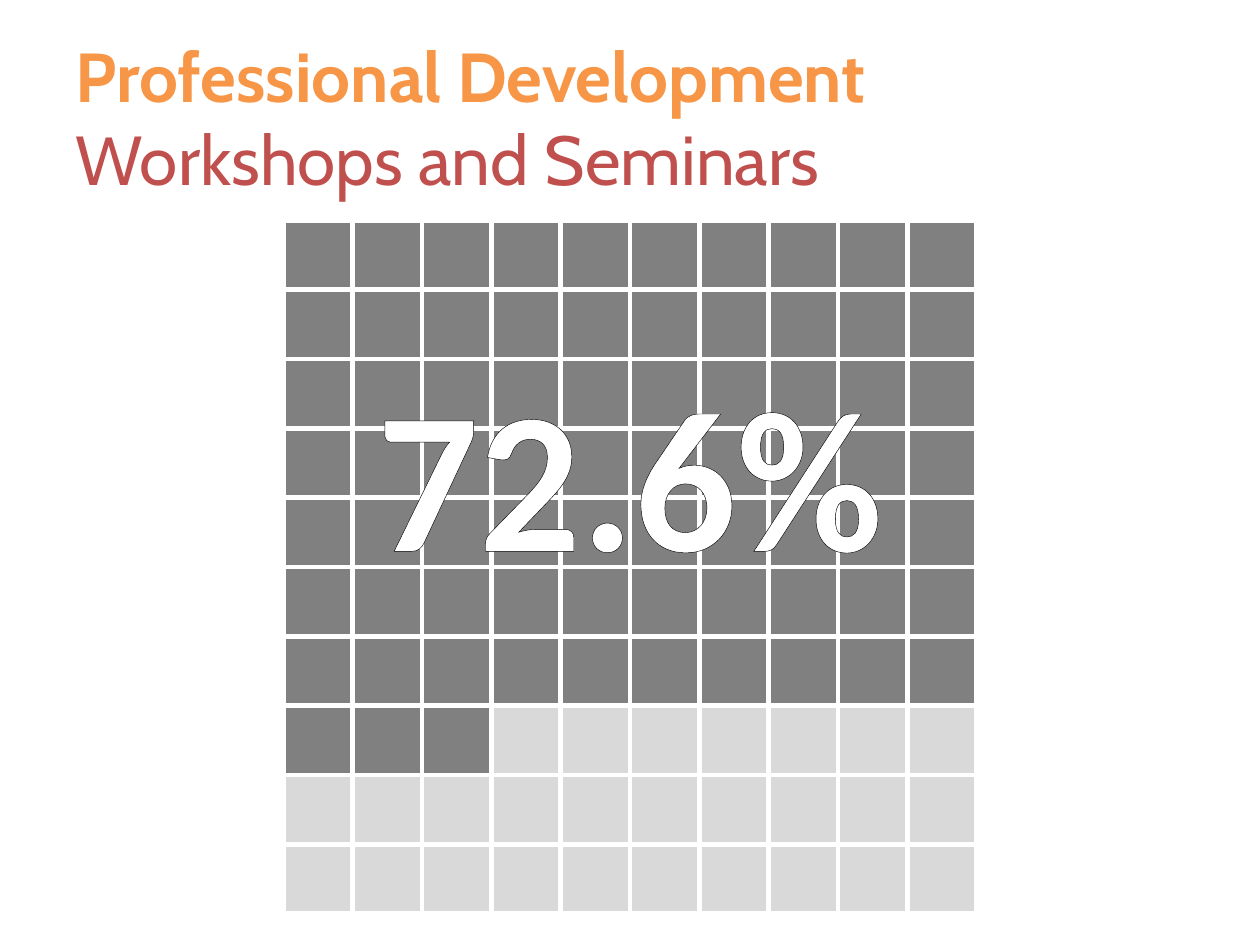
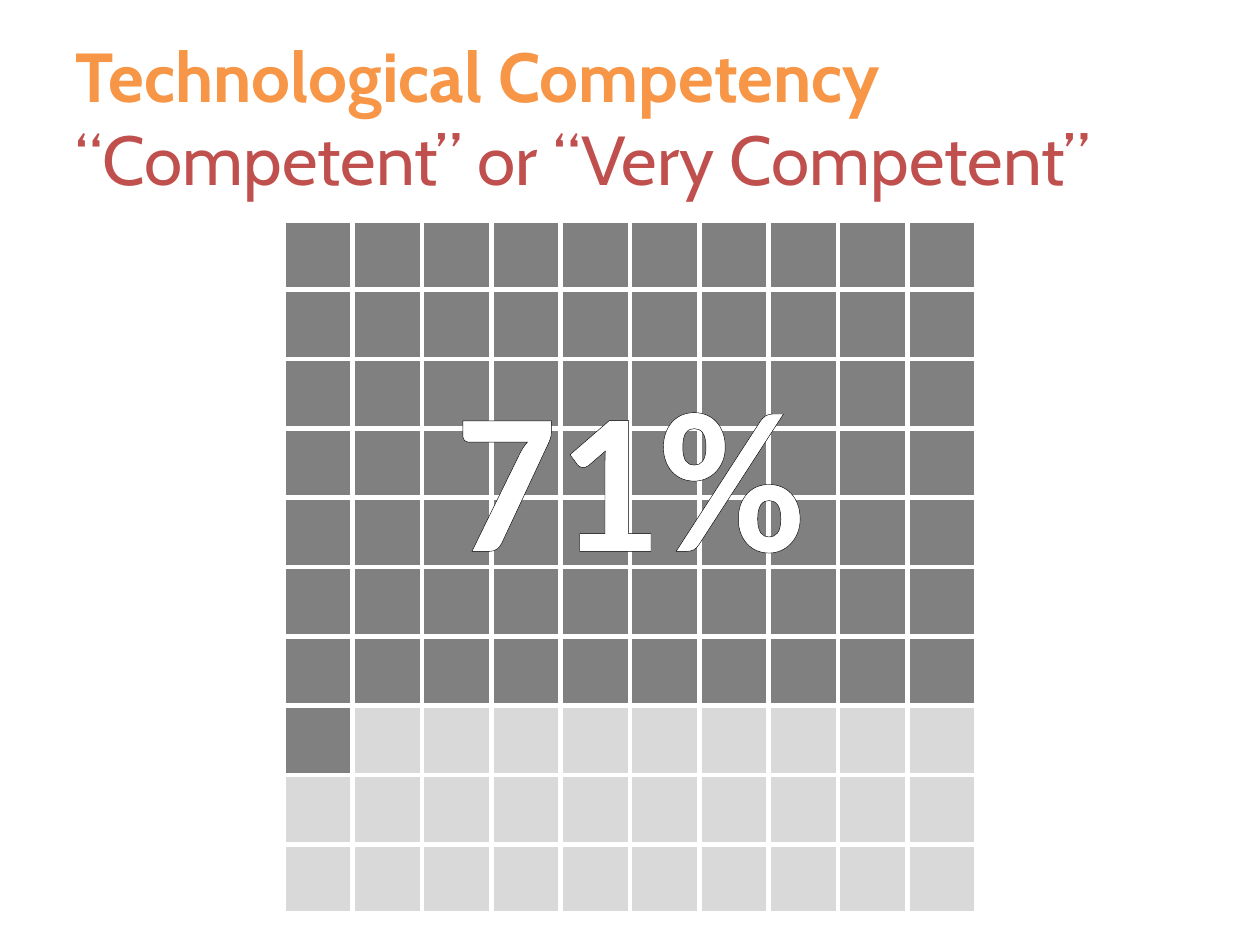
from lxml import etree
from pptx import Presentation
from pptx.dml.color import RGBColor
from pptx.enum.text import MSO_ANCHOR, PP_ALIGN
from pptx.oxml.ns import qn
from pptx.util import Inches, Pt

MIDDLE = MSO_ANCHOR.MIDDLE
CENTER = PP_ALIGN.CENTER

ORANGE = RGBColor(0xF7, 0x96, 0x46)
RED = RGBColor(0xC0, 0x50, 0x4D)
FILLED_GRAY = RGBColor(0x80, 0x80, 0x80)
EMPTY_GRAY = RGBColor(0xD9, 0xD9, 0xD9)
WHITE = RGBColor(0xFF, 0xFF, 0xFF)
BLACK = RGBColor(0x00, 0x00, 0x00)

WIDTH, HEIGHT = Inches(10), Inches(7.5)
GRID_COUNT = 10
CELL_SIZE = Inches(0.55)
GRID_SIZE = CELL_SIZE * GRID_COUNT
GRID_LEFT = (WIDTH - GRID_SIZE) // 2
GRID_TOP = Inches(1.75)
PERCENT_WIDTH, PERCENT_HEIGHT = Inches(5.29), Inches(2.04)

SLIDES = [
    ("Professional Development", "Workshops and Seminars", 72.6),
    ("Technological Competency", "“Competent” or “Very Competent”", 71),
]


def add_run(paragraph, text, font_name, size, color, bold):
    run = paragraph.add_run()
    run.text = text
    run.font.name = font_name
    run.font.size = Pt(size)
    run.font.color.rgb = color
    run.font.bold = bold
    return run


def insert_line(properties, tag, color, index):
    """Insert a 3 pt solid line element (cell border or text outline)."""
    line = etree.Element(qn(tag), w=str(Pt(3)))
    solid_fill = etree.SubElement(line, qn("a:solidFill"))
    etree.SubElement(solid_fill, qn("a:srgbClr"), val=str(color))
    properties.insert(index, line)


presentation = Presentation()
presentation.slide_width, presentation.slide_height = WIDTH, HEIGHT
blank_layout = presentation.slide_layouts[6]

for heading, subheading, percent in SLIDES:
    slide = presentation.slides.add_slide(blank_layout)

    # Two-line title
    title_box = slide.shapes.add_textbox(
        int(WIDTH * 0.05), int(HEIGHT * 0.04), int(WIDTH * 0.9), HEIGHT // 6)
    title_box.text_frame.word_wrap = True
    title_box.text_frame.vertical_anchor = MIDDLE
    title = title_box.text_frame.paragraphs[0]
    add_run(title, heading, "Cabin", 39.6, ORANGE, True)
    title.add_line_break()
    add_run(title, subheading, "Cabin", 39.6, RED, False)

    # One square per percentage point, filled row by row
    table = slide.shapes.add_table(
        GRID_COUNT, GRID_COUNT, GRID_LEFT, GRID_TOP, GRID_SIZE, GRID_SIZE).table
    table.first_row = False
    table.horz_banding = False
    for position, cell in enumerate(table.iter_cells()):
        cell.fill.solid()
        cell.fill.fore_color.rgb = FILLED_GRAY if position < round(percent) else EMPTY_GRAY
        cell_properties = cell._tc.get_or_add_tcPr()
        for index, border in enumerate(("a:lnL", "a:lnR", "a:lnT", "a:lnB")):
            insert_line(cell_properties, border, WHITE, index)

    # Large outlined percentage, centred on the slide
    percent_box = slide.shapes.add_textbox(
        (WIDTH - PERCENT_WIDTH) // 2, (HEIGHT - PERCENT_HEIGHT) // 2,
        PERCENT_WIDTH, PERCENT_HEIGHT)
    percent_box.text_frame.word_wrap = True
    percent_paragraph = percent_box.text_frame.paragraphs[0]
    percent_paragraph.alignment = CENTER
    percent_run = add_run(percent_paragraph, f"{percent}%", "Calibri", 115, WHITE, True)
    insert_line(percent_run.font._element, "a:ln", BLACK, 0)

presentation.save("out.pptx")
